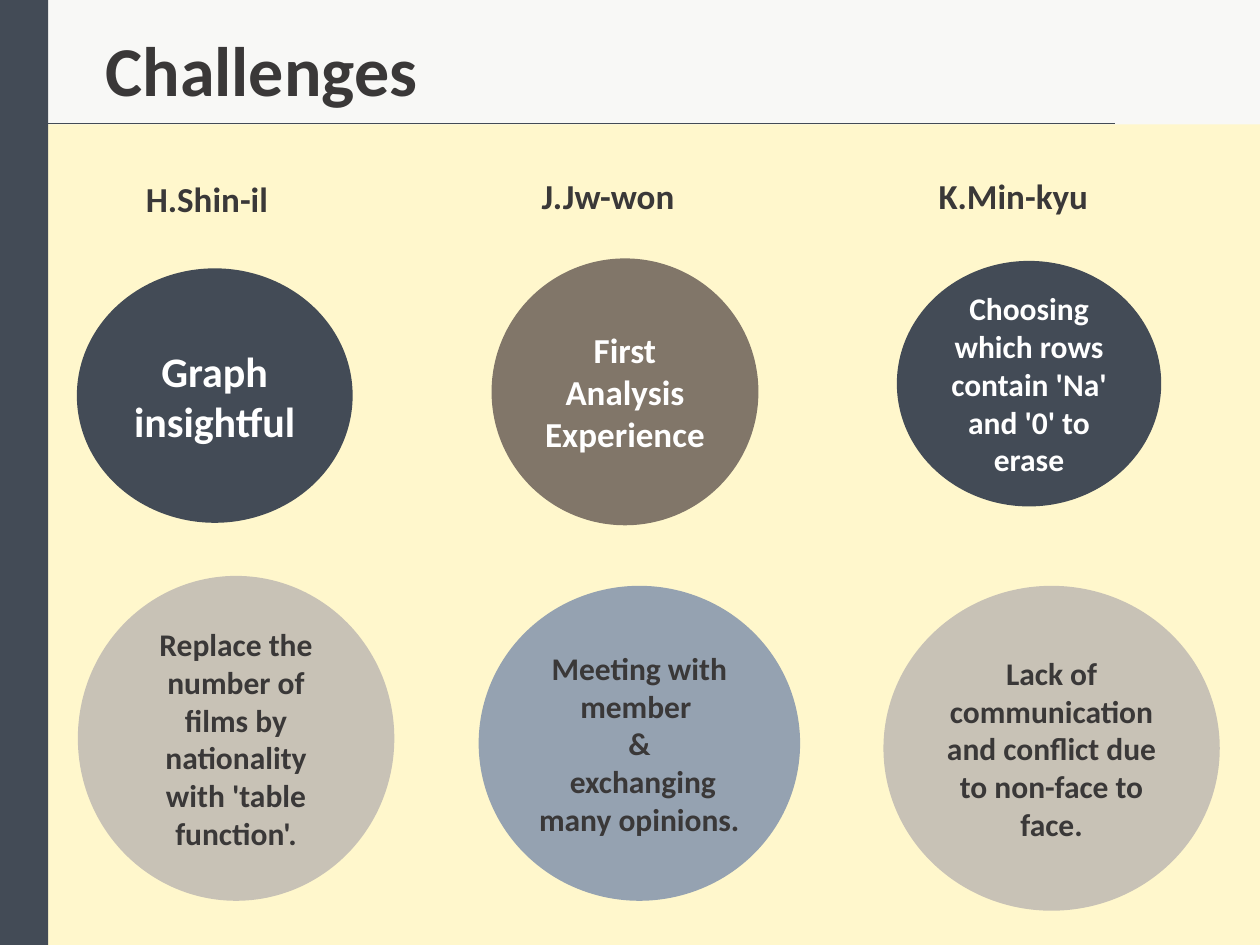
import pptx
import pptx.dml.color
import pptx.enum.shapes
import pptx.enum.text
import pptx.oxml.ns
import pptx.util
from lxml import etree

Cm, Pt = pptx.util.Cm, pptx.util.Pt
RGBColor = pptx.dml.color.RGBColor
MSO_SHAPE = pptx.enum.shapes.MSO_SHAPE
PP_ALIGN = pptx.enum.text.PP_ALIGN
MSO_ANCHOR = pptx.enum.text.MSO_ANCHOR

PAPER = RGBColor(0xF8, 0xF8, 0xF6)
CREAM = RGBColor(0xFF, 0xF7, 0xCC)
SLATE = RGBColor(0x43, 0x4B, 0x56)
STONE = RGBColor(0xC8, 0xC2, 0xB6)
BROWN = RGBColor(0x81, 0x76, 0x69)
BLUE = RGBColor(0x95, 0xA2, 0xB1)
INK = RGBColor(0x3A, 0x38, 0x38)
WHITE = RGBColor(0xFF, 0xFF, 0xFF)

WIDTH, HEIGHT, BAR, HEADER = 25.4, 19.05, 0.97, 2.51


class Deck:
    """Style and current slide; all lengths are in centimetres."""

    font = "Calibri"

    def __init__(self, prs):
        """Add a blank slide with the paper background."""
        self.s = prs.slides.add_slide(prs.slide_layouts[6])
        fill = self.s.background.fill
        fill.solid()
        fill.fore_color.rgb = PAPER

    def set_text(self, tf, text, size, color, align):
        """Set bold text and format every run."""
        tf.word_wrap = True
        tf.text = text
        for p in tf.paragraphs:
            p.alignment = align
            for r in p.runs:
                r.font.name = self.font
                r.font.size = Pt(size)
                r.font.bold = True
                r.font.color.rgb = color

    def shape(self, kind, box, color):
        """Add a flat filled shape without outline."""
        sp = self.s.shapes.add_shape(kind, *map(Cm, box))
        sp.shadow.inherit = False
        sp.fill.solid()
        sp.fill.fore_color.rgb = color
        sp.line.fill.background()
        return sp

    def circle(self, box, fill, text, size, color):
        """Add an ellipse with centred text."""
        tf = self.shape(MSO_SHAPE.OVAL, box, fill).text_frame
        tf.vertical_anchor = MSO_ANCHOR.MIDDLE
        self.set_text(tf, text, size, color, PP_ALIGN.CENTER)

    def label(self, box, text, size):
        """Add a left-aligned text box."""
        tf = self.s.shapes.add_textbox(*map(Cm, box)).text_frame
        self.set_text(tf, text, size, INK, PP_ALIGN.LEFT)

    def rule(self, x1, x2, y):
        """Add a thin horizontal line."""
        line = self.s.shapes.add_connector(
            pptx.enum.shapes.MSO_CONNECTOR.STRAIGHT, Cm(x1), Cm(y), Cm(x2), Cm(y))
        line.line.color.rgb = SLATE
        line.line.width = Pt(0.5)
        etree.SubElement(line._element.spPr, pptx.oxml.ns.qn("a:effectLst"))


MEMBERS = [
    ("H.Shin-il", 2.69, 3.45),
    ("J.Jw-won", 10.67, 3.4),
    ("K.Min-kyu", 18.67, 3.4),
]
CHALLENGES = [
    ((1.55, 5.41, 5.56, 5.13), SLATE, "Graph insightful", 24, WHITE),
    ((1.57, 11.61, 6.38, 6.55), STONE,
     "Replace the number of films by nationality with 'table function'.", 18, INK),
    ((9.91, 5.21, 5.38, 5.38), BROWN, "First Analysis Experience", 20, WHITE),
    ((9.65, 11.81, 6.48, 6.35), BLUE,
     "Meeting with member \n&\n exchanging many opinions.", 18, INK),
    ((18.08, 5.26, 5.33, 4.95), SLATE,
     "Choosing which rows contain 'Na' and '0' to erase", 18, WHITE),
    ((17.81, 11.81, 6.78, 6.55), STONE,
     "Lack of communication and conflict due to non-face to face.", 18, INK),
]


def main():
    """Build and save the slide."""
    prs = pptx.Presentation()
    prs.slide_width, prs.slide_height = Cm(WIDTH), Cm(HEIGHT)
    deck = Deck(prs)
    deck.shape(MSO_SHAPE.RECTANGLE,
               (BAR, HEADER, WIDTH - BAR, HEIGHT - HEADER), CREAM)
    deck.shape(MSO_SHAPE.RECTANGLE, (0, 0, BAR, HEIGHT), SLATE)
    deck.label((1.88, 0.41, 9.63, 1.96), "Challenges", 40)
    deck.rule(0.71, 22.48, 2.49)
    for name, x, y in MEMBERS:
        deck.label((x, y, 4.17, 1.12), name, 20)
    for challenge in CHALLENGES:
        deck.circle(*challenge)
    prs.save("out.pptx")


main()
